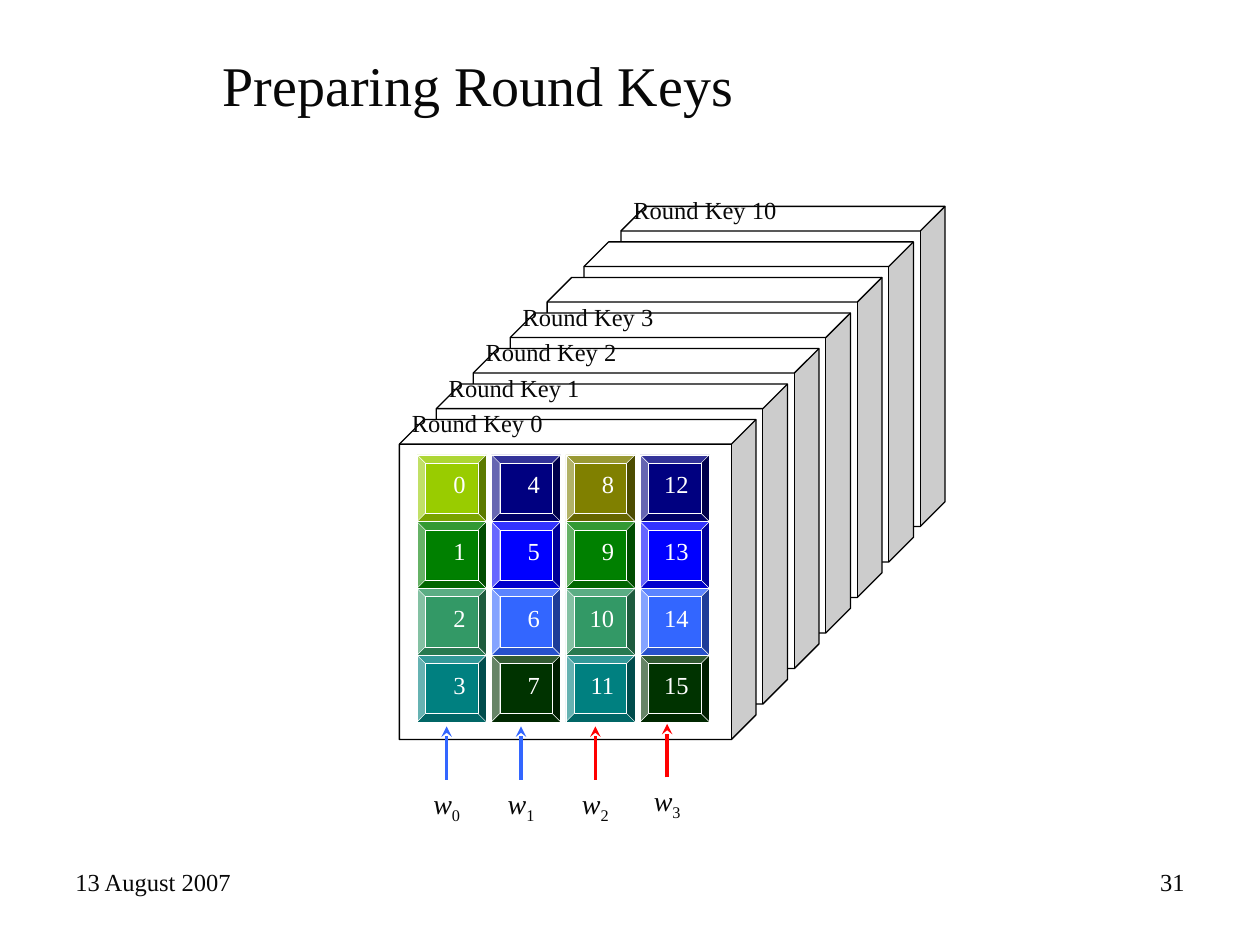
from lxml import etree
from pptx import Presentation
from pptx.dml.color import RGBColor
from pptx.enum.shapes import MSO_CONNECTOR, MSO_SHAPE
from pptx.enum.text import MSO_ANCHOR, PP_ALIGN
from pptx.oxml.ns import qn
from pptx.util import Inches, Pt

prs = Presentation()
prs.slide_width, prs.slide_height = Inches(10), Inches(7.5)
s = prs.slides.add_slide(prs.slide_layouts[6])
shapes = s.shapes

# Page grid: 100 columns by 75 rows
COL, ROW = prs.slide_width / 100, prs.slide_height / 75
INK, WHITE, BLUE, RED = "080808", "FFFFFF", "3366FF", "FF0000"
color = RGBColor.from_string


def write(sp, runs, size=14, ink=INK, align=PP_ALIGN.LEFT, anchor=MSO_ANCHOR.TOP):
    """Fill a shape with one paragraph of (text, extra font values) runs."""
    tf = sp.text_frame
    tf.word_wrap, tf.vertical_anchor = True, anchor
    p = tf.paragraphs[0]
    p.alignment = align
    for text, extra in runs:
        r = p.add_run()
        r.text = text
        r.font.color.rgb = color(ink)
        for name, value in {"name": "Times New Roman", "size": Pt(size), **extra}.items():
            setattr(r.font, name, value)


def place(x, y, w, h, kind=None, fill=WHITE, line="000000", weight=0.75, adjust=0):
    """Add a text box, or a preset shape if a kind is given, in grid units."""
    area = [round(v) for v in (x * COL, y * ROW, w * COL, h * ROW)]
    if kind is None:
        return shapes.add_textbox(*area)
    sp = shapes.add_shape(kind, *area)
    sp.shadow.inherit = False
    sp.adjustments[0] = adjust
    sp.fill.solid()
    sp.fill.fore_color.rgb = color(fill)
    sp.line.color.rgb = color(line)
    sp.line.width = Pt(weight)
    return sp


# Footer and title
write(place(5, 68.3, 23.3, 5.2), [("13 August 2007", {})])
write(place(71.7, 68.3, 23.3, 5.2), [("31", {})], align=PP_ALIGN.RIGHT)
write(place(16.7, 0.8, 80.7, 11.7), [("Preparing Round Keys", {})], size=32,
      anchor=MSO_ANCHOR.MIDDLE)

# Stack of key blocks, from back to front
LEFT, TOP, STEP_X, STEP_Y = 31.7, 33.3, 2.93, 2.82
for depth in reversed(range(7)):
    place(LEFT + depth * STEP_X, TOP - depth * STEP_Y, 28.3 - depth * 0.43, 25.4,
          MSO_SHAPE.CUBE, adjust=0.077)

# Key bytes, numbered down each column
CELL_STEP, CELL_W, CELL_H = 5.9, 5.5, 5.3
columns = [
    ["99CC00", "008000", "339966", "008080"],
    ["000080", "0000FF", "3366FF", "003300"],
    ["808000", "008000", "339966", "008080"],
    ["000080", "0000FF", "3366FF", "003300"],
]
for c, fills in enumerate(columns):
    for r, fill in enumerate(fills):
        sp = place(33.1 + c * CELL_STEP, 36.1 + r * CELL_H, CELL_W, CELL_H,
                   MSO_SHAPE.BEVEL, fill, WHITE, 0.25, 0.125)
        write(sp, [(str(4 * c + r), {})], ink=WHITE, align=PP_ALIGN.RIGHT)

# Names of the blocks, keyed by depth in the stack
for depth, number in {0: 0, 1: 1, 2: 2, 3: 3, 6: 10}.items():
    sp = place(LEFT + depth * STEP_X, TOP - 1.4 - depth * STEP_Y, 17.6, 4.2)
    write(sp, [(f"Round Key {number}", {})])

# Word labels, each with an arrow up to its column
words = [(31.8, 61.9, BLUE), (37.7, 61.9, BLUE), (43.6, 61.9, RED), (49.3, 61.7, RED)]
for i, (x, y, stroke) in enumerate(words):
    label = place(x, y, 7.3, 5.6)
    write(label, [("w", {"italic": True}), (str(i), {"italic": False})], size=16,
          align=PP_ALIGN.CENTER)
    subscript = label.text_frame.paragraphs[0].runs[1]
    subscript.font._element.set("baseline", "-25000")

    middle = round((x + 3.65) * COL)
    arrow = shapes.add_connector(MSO_CONNECTOR.STRAIGHT, middle, round(y * ROW),
                                 middle, round((y - 4.25) * ROW))
    arrow.begin_connect(label, 0)
    arrow.line.color.rgb = color(stroke)
    arrow.line.width = Pt(2)
    etree.SubElement(arrow.line._get_or_add_ln(), qn("a:tailEnd"), type="stealth")
    etree.SubElement(arrow._element.spPr, qn("a:effectLst"))

prs.save("out.pptx")
